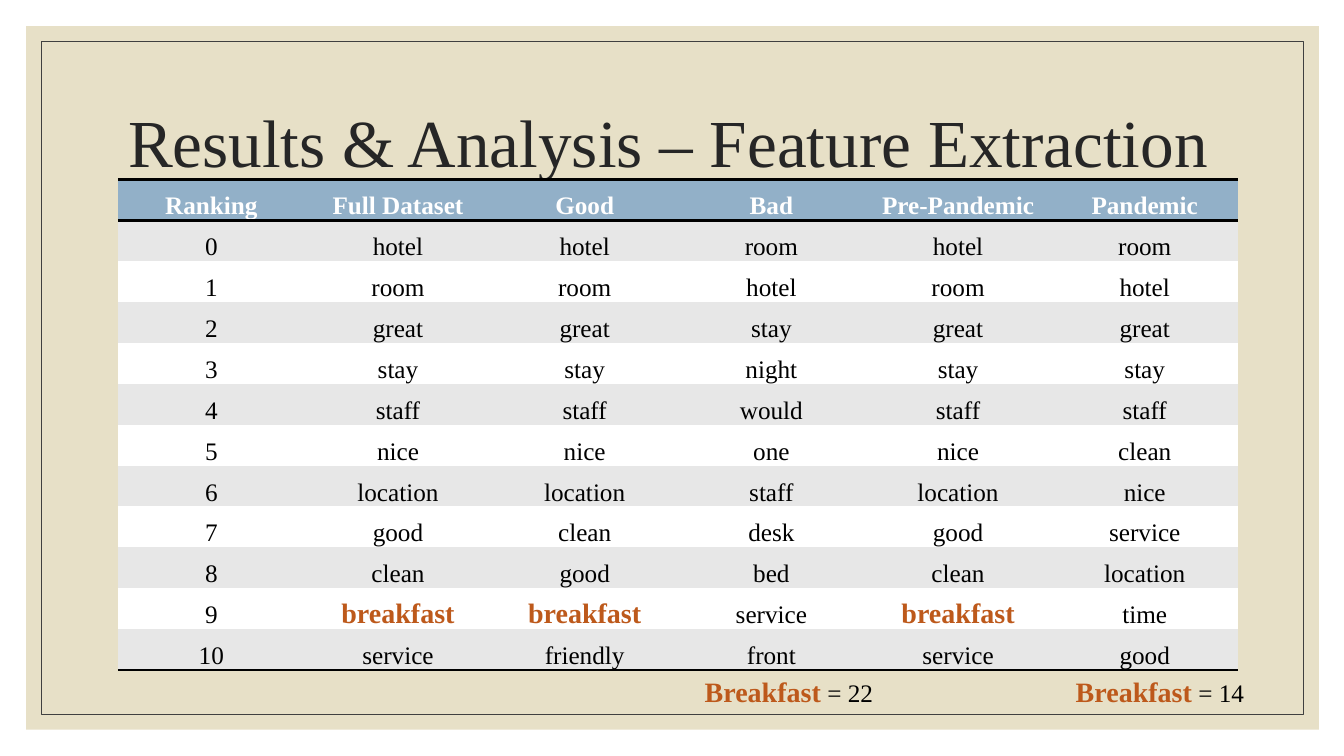
from dataclasses import dataclass
from typing import Any, Optional

from lxml.etree import SubElement
from pptx import Presentation
from pptx.dml.color import RGBColor
from pptx.enum.shapes import MSO_SHAPE
from pptx.enum.text import MSO_ANCHOR, MSO_AUTO_SIZE, PP_ALIGN
from pptx.oxml.ns import qn
from pptx.util import Inches, Pt

FONT = "Times New Roman"
WHITE = RGBColor(0xFF, 0xFF, 0xFF)
BLACK = RGBColor(0x00, 0x00, 0x00)
SAND = RGBColor(0xE7, 0xE0, 0xC7)
FRAME_GRAY = RGBColor(0x40, 0x40, 0x40)
TITLE_GRAY = RGBColor(0x26, 0x26, 0x26)
HEADER_BLUE = RGBColor(0x92, 0xB0, 0xC8)
BAND_GRAY = RGBColor(0xE7, 0xE7, 0xE7)
RUST = RGBColor(0xBD, 0x59, 0x1B)

NO_TABLE_STYLE = "{2D5ABB26-0587-4C30-8999-92F81FD0307C}"
RULE_WIDTH = Pt(2)

TITLE_FORMAT = {"name": FONT, "size": Pt(48), "bold": False}
HEADER_FORMAT = {"name": FONT, "size": Pt(18), "bold": True}
BODY_FORMAT = {"name": FONT, "size": Pt(18), "bold": False}
ACCENT_FORMAT = {"name": FONT, "size": Pt(20), "bold": True}
CELL_FORMAT = {
    "margin_left": Inches(0.01),
    "margin_right": Inches(0.01),
    "margin_top": Inches(0.01),
    "margin_bottom": 0,
    "vertical_anchor": MSO_ANCHOR.BOTTOM,
}

HEADERS = ["Ranking", "Full Dataset", "Good", "Bad", "Pre-Pandemic", "Pandemic"]
RANKED_WORDS = [
    "hotel hotel room hotel room",
    "room room hotel room hotel",
    "great great stay great great",
    "stay stay night stay stay",
    "staff staff would staff staff",
    "nice nice one nice clean",
    "location location staff location nice",
    "good clean desk good service",
    "clean good bed clean location",
    "breakfast breakfast service breakfast time",
    "service friendly front service good",
]


@dataclass
class Panel:
    left: float
    top: float
    width: float
    height: float
    fill: Optional[RGBColor] = None
    line: Optional[RGBColor] = None


@dataclass
class CountNote:
    left: float
    count: int


PANELS = [
    Panel(0.26, 0.26, 12.82, 6.98, fill=SAND),
    Panel(0.41, 0.41, 12.52, 6.68, line=FRAME_GRAY),
]
COUNT_NOTES = [CountNote(6.89, 22), CountNote(10.57, 14)]


def apply_format(target: Any, values: dict) -> None:
    for name, value in values.items():
        setattr(target, name, value)


def add_span(para: Any, text: str, values: dict, color: RGBColor) -> None:
    span = para.add_run()
    span.text = text
    apply_format(span.font, values)
    span.font.color.rgb = color


def add_panel(page: Any, panel: Panel) -> None:
    box = page.shapes.add_shape(
        MSO_SHAPE.RECTANGLE, Inches(panel.left), Inches(panel.top),
        Inches(panel.width), Inches(panel.height))
    box.shadow.inherit = False
    if panel.fill is None:
        box.fill.background()
    else:
        box.fill.solid()
        box.fill.fore_color.rgb = panel.fill
    if panel.line is None:
        box.line.fill.background()
    else:
        box.line.color.rgb = panel.line
        box.line.width = Pt(0.5)


def add_title(page: Any, text: str) -> None:
    title = page.shapes.title
    # Bring the title in front of the panels
    page.shapes._spTree.append(title._element)
    apply_format(title, {"left": Inches(1.17), "top": Inches(0.7),
                         "width": Inches(11), "height": Inches(1.5)})
    apply_format(title.text_frame, {"vertical_anchor": MSO_ANCHOR.MIDDLE,
                                    "word_wrap": True,
                                    "auto_size": MSO_AUTO_SIZE.NONE})
    para = title.text_frame.paragraphs[0]
    apply_format(para, {"alignment": PP_ALIGN.LEFT, "line_spacing": 0.9})
    add_span(para, text, TITLE_FORMAT, TITLE_GRAY)


def add_rule(cell: Any, side: str) -> None:
    """Draw a black border; call before filling, as borders come first."""
    properties = cell._tc.get_or_add_tcPr()
    line = SubElement(properties, qn(f"a:ln{side}"), w=str(RULE_WIDTH))
    fill = SubElement(line, qn("a:solidFill"))
    SubElement(fill, qn("a:srgbClr"), val=str(BLACK))


def fill_cell(cell: Any, text: str, row: int, last_row: int) -> None:
    apply_format(cell, CELL_FORMAT)
    if row == 0:
        add_rule(cell, "T")
    if row in (0, last_row):
        add_rule(cell, "B")
    cell.fill.solid()
    para = cell.text_frame.paragraphs[0]
    para.alignment = PP_ALIGN.CENTER
    if row == 0:
        cell.fill.fore_color.rgb = HEADER_BLUE
        add_span(para, text, HEADER_FORMAT, WHITE)
        return
    cell.fill.fore_color.rgb = BAND_GRAY if row % 2 else WHITE
    if text == "breakfast":
        add_span(para, text, ACCENT_FORMAT, RUST)
    else:
        add_span(para, text, BODY_FORMAT, BLACK)


def add_ranking_table(page: Any) -> None:
    rows = [HEADERS] + [[str(rank), *words.split()]
                        for rank, words in enumerate(RANKED_WORDS)]
    frame = page.shapes.add_table(
        len(rows), len(HEADERS),
        Inches(1.17), Inches(1.78), Inches(11.11), Inches(4.87))
    table = frame.table
    table._tbl.tblPr.find(qn("a:tableStyleId")).text = NO_TABLE_STYLE
    for row, texts in enumerate(rows):
        for column, text in enumerate(texts):
            fill_cell(table.cell(row, column), text, row, len(rows) - 1)


def add_count_note(page: Any, note: CountNote) -> None:
    box = page.shapes.add_textbox(
        Inches(note.left), Inches(6.64), Inches(1.91), Inches(0.44))
    apply_format(box.text_frame, {"word_wrap": True,
                                  "auto_size": MSO_AUTO_SIZE.SHAPE_TO_FIT_TEXT})
    para = box.text_frame.paragraphs[0]
    add_span(para, "Breakfast", ACCENT_FORMAT, RUST)
    add_span(para, f" = {note.count}", BODY_FORMAT, BLACK)


def main() -> None:
    deck = Presentation()
    deck.slide_width = Inches(13.33)
    deck.slide_height = Inches(7.5)
    page = deck.slides.add_slide(deck.slide_layouts[5])

    # Background panel and frame
    for panel in PANELS:
        add_panel(page, panel)

    # Title, table and counts below it
    add_title(page, "Results & Analysis – Feature Extraction")
    add_ranking_table(page)
    for note in COUNT_NOTES:
        add_count_note(page, note)

    deck.save("out.pptx")


if __name__ == "__main__":
    main()
